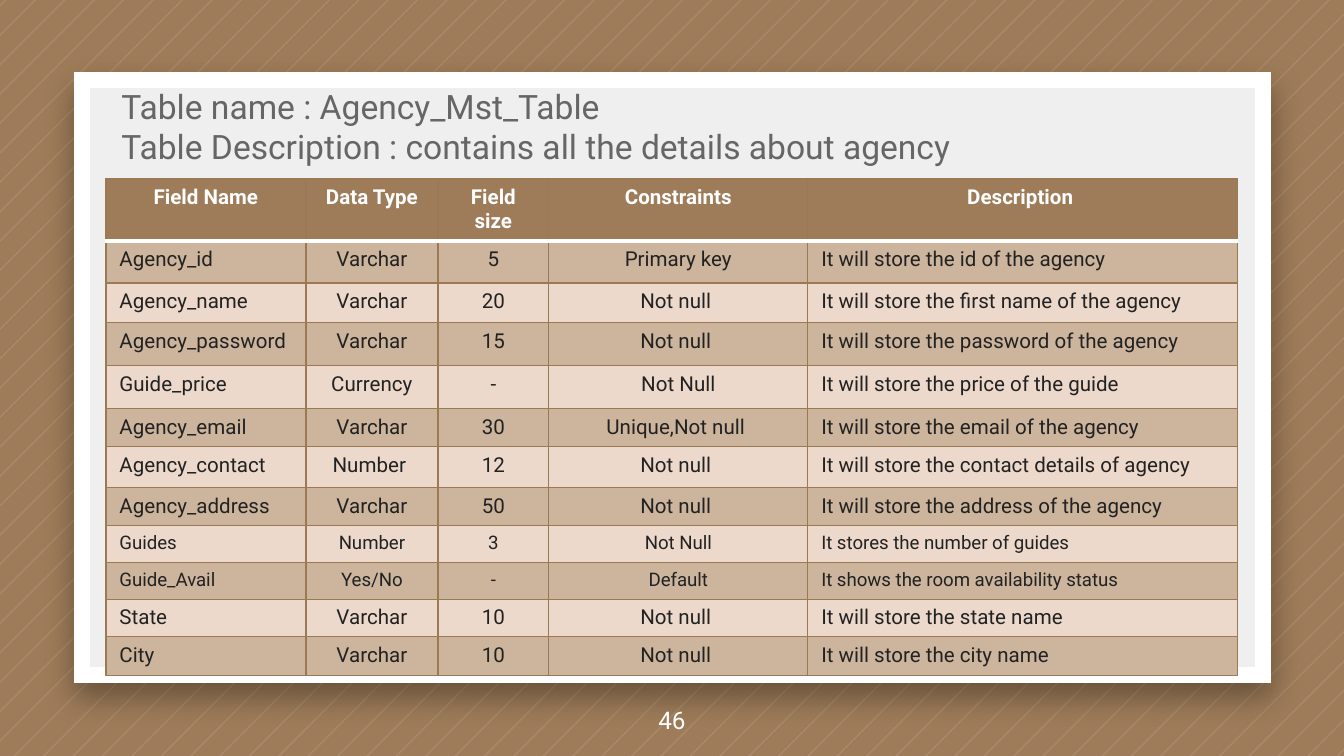
from lxml import etree
from pptx import Presentation
from pptx.dml.color import RGBColor
from pptx.enum.shapes import MSO_SHAPE
from pptx.enum.text import MSO_ANCHOR, MSO_AUTO_SIZE, PP_ALIGN
from pptx.oxml import parse_xml
from pptx.oxml.ns import nsdecls, qn
from pptx.util import Pt

RECTANGLE = MSO_SHAPE.RECTANGLE
LEFT, CENTER = PP_ALIGN.LEFT, PP_ALIGN.CENTER
MIDDLE, BOTTOM = MSO_ANCHOR.MIDDLE, MSO_ANCHOR.BOTTOM
NO_FIT = MSO_AUTO_SIZE.NONE
TITLE_ONLY = 5

EMU_PER_PX = 914400 / 134.4
WIDTH, HEIGHT = 1344, 756
STRIPE_COUNT, STRIPE_START, STRIPE_STEP, STRIPE_WIDTH = 72, 5, 29.4, 2

FONT = "Roboto"
BROWN, WHITE, GREY, INK = "9E7C59", "FFFFFF", "666666", "222222"
PANEL, RULE = "EFEFEF", "9C7955"
BANDS = ("CDB49D", "EDD9CB")

COLUMN_WIDTHS = (200, 132, 111, 259, 430)
COLUMN_ALIGNS = (LEFT, CENTER, CENTER, CENTER, LEFT)
ROW_HEIGHTS = (62, 42, 40, 43, 43, 38, 41, 37, 37, 37, 37, 39)
SMALL_ROWS = ("Guides", "Guide_Avail")
ROWS = (
    ("Field Name", "Data Type", "Field size", "Constraints", "Description "),
    ("Agency_id", "Varchar", "5", "Primary key", "It will store the id of the agency"),
    ("Agency_name", "Varchar", "20", "Not null ", "It will store the first name of the agency"),
    ("Agency_password", "Varchar", "15", "Not null ", "It will store the password of the agency"),
    ("Guide_price", "Currency", "-", "Not Null", "It will store the price of the guide"),
    ("Agency_email", "Varchar", "30", "Unique,Not null ", "It will store the email of the agency"),
    ("Agency_contact", "Number ", "12", "Not null ", "It will store the contact details of agency"),
    ("Agency_address", "Varchar", "50", "Not null ", "It will store the address of the agency"),
    ("Guides", "Number", "3", "Not Null", "It stores the number of guides"),
    ("Guide_Avail", "Yes/No", "-", "Default", "It shows the room availability status"),
    ("State", "Varchar", "10", "Not null ", "It will store the state name"),
    ("City", "Varchar", "10", "Not null ", "It will store the city name"),
)


def px(length):
    return round(length * EMU_PER_PX)


def color(value):
    return RGBColor.from_string(value)


def stripe_edge(total):
    """Ends of the diagonal x + y = total, cut at the slide's edges."""
    top = (min(total, WIDTH), max(0, total - WIDTH))
    bottom = (max(0, total - HEIGHT), min(total, HEIGHT))
    return top, bottom


class SlideBuilder:
    def __init__(self, page):
        self.page = page

    def background(self, fill):
        self.page.background.fill.solid()
        self.page.background.fill.fore_color.rgb = color(fill)

    def stripes(self, fill, opacity):
        builder = None
        for index in range(STRIPE_COUNT):
            total = STRIPE_START + index * STRIPE_STEP
            top, bottom = stripe_edge(total)
            next_top, next_bottom = stripe_edge(total + STRIPE_WIDTH)
            start, *others = [(px(x), px(y)) for x, y in (top, bottom, next_bottom, next_top)]
            if builder is None:
                builder = self.page.shapes.build_freeform(*start)
            else:
                builder.move_to(*start)
            builder.add_line_segments(others, close=True)
        shape = builder.convert_to_shape()
        shape.shadow.inherit = False
        shape.line.fill.background()
        shape.fill.solid()
        shape.fill.fore_color.rgb = color(fill)
        shade = shape.element.spPr.find(qn("a:solidFill"))[0]
        etree.SubElement(shade, qn("a:alpha"), val=str(opacity * 1000))

    def card(self, left, top, width, height):
        shape = self.page.shapes.add_shape(RECTANGLE, px(left), px(top), px(width), px(height))
        shape.fill.solid()
        shape.fill.fore_color.rgb = color(PANEL)
        shape.line.color.rgb = color(WHITE)
        shape.line.width = Pt(9)
        outline = shape.element.spPr.find(qn("a:ln"))
        etree.SubElement(outline, qn("a:miter"), lim="800000")
        shape.element.spPr.append(parse_xml(
            f'<a:effectLst {nsdecls("a")}>'
            f'<a:outerShdw blurRad="{Pt(16.9)}" dist="{Pt(7.5)}" dir="5400000" '
            'algn="t" rotWithShape="0"><a:srgbClr val="000000"><a:alpha val="35000"/>'
            '</a:srgbClr></a:outerShdw></a:effectLst>'))

    def set_text(self, frame, words, size, fill, align, bold=False):
        frame.text = words
        for para in frame.paragraphs:
            para.alignment = align
            para.font.name = FONT
            para.font.size = Pt(size)
            para.font.bold = bold
            para.font.color.rgb = color(fill)

    def fill_box(self, box, area, words, size, fill, align, anchor):
        box.left, box.top, box.width, box.height = map(px, area)
        frame = box.text_frame
        frame.word_wrap = True
        frame.auto_size = NO_FIT
        frame.vertical_anchor = anchor
        frame.margin_left = frame.margin_right = frame.margin_top = frame.margin_bottom = Pt(7.2)
        self.set_text(frame, words, size, fill, align)

    def title(self, words, *area):
        box = self.page.shapes.title
        box.element.getparent().append(box.element)  # bring in front of the card
        self.fill_box(box, area, words, 18, GREY, LEFT, BOTTOM)
        for para in box.text_frame.paragraphs:
            para.line_spacing = 1.0
            para.space_before = Pt(0)

    def page_number(self, words, *area):
        box = self.page.shapes.add_textbox(0, 0, 0, 0)
        self.fill_box(box, area, words, 13, WHITE, CENTER, MIDDLE)

    def border(self, cell, side, fill, width):
        cell._tc.get_or_add_tcPr().append(parse_xml(
            f'<a:ln{side} {nsdecls("a")} w="{Pt(width)}"><a:solidFill>'
            f'<a:srgbClr val="{fill}"/></a:solidFill></a:ln{side}>'))

    def table(self, left, top):
        table = self.page.shapes.add_table(
            len(ROWS), len(COLUMN_WIDTHS), px(left), px(top),
            px(sum(COLUMN_WIDTHS)), px(sum(ROW_HEIGHTS))).table
        table.horz_banding = False
        for column, width in zip(table.columns, COLUMN_WIDTHS):
            column.width = px(width)
        for row_index, (row, height, words) in enumerate(zip(table.rows, ROW_HEIGHTS, ROWS)):
            row.height = px(height)
            header = row_index == 0
            size = 10 if words[0] in SMALL_ROWS else 11
            for cell, text, align in zip(row.cells, words, COLUMN_ALIGNS):
                self.set_text(cell.text_frame, text, size, WHITE if header else INK,
                              CENTER if header else align, bold=header)
                for side in "LRTB":
                    under_header = (row_index, side) in ((0, "B"), (1, "T"))
                    self.border(cell, side, *((WHITE, 2) if under_header else (RULE, 0.75)))
                cell.fill.solid()
                cell.fill.fore_color.rgb = color(BROWN if header else BANDS[(row_index - 1) % 2])


def main():
    deck = Presentation()
    deck.slide_width, deck.slide_height = px(WIDTH), px(HEIGHT)
    slide = SlideBuilder(deck.slides.add_slide(deck.slide_layouts[TITLE_ONLY]))
    slide.background(BROWN)
    slide.stripes(WHITE, opacity=10)
    slide.card(82, 80, 1181, 595)
    slide.title("Table name : Agency_Mst_Table\vTable Description : contains all the details about agency",
                108, 91, 1079, 89)
    slide.page_number("46", 0, 683, WIDTH, 73)
    slide.table(106, 179)
    deck.save("out.pptx")


if __name__ == "__main__":
    main()
